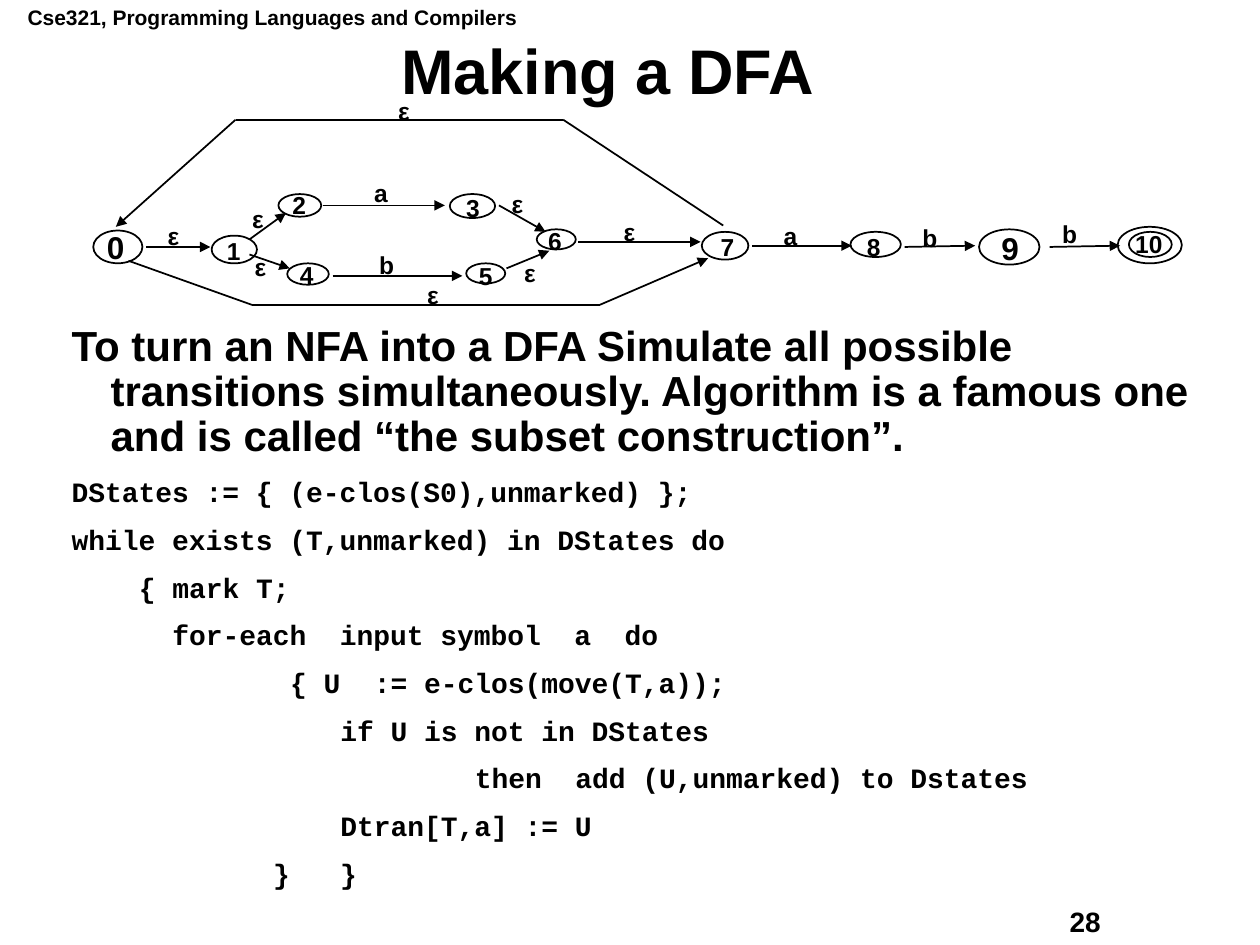
from lxml import etree
from pptx import Presentation
from pptx.dml.color import RGBColor
from pptx.enum.shapes import MSO_CONNECTOR, MSO_SHAPE
from pptx.enum.text import MSO_ANCHOR, MSO_AUTO_SIZE, PP_ALIGN
from pptx.oxml.ns import qn
from pptx.util import Inches, Pt

STRAIGHT = MSO_CONNECTOR.STRAIGHT
OVAL = MSO_SHAPE.OVAL
TOP, MIDDLE = MSO_ANCHOR.TOP, MSO_ANCHOR.MIDDLE
NO_AUTOFIT = MSO_AUTO_SIZE.NONE
LEFT, CENTER = PP_ALIGN.LEFT, PP_ALIGN.CENTER

COLORS = {"ink": "000000", "paper": "FFFFFF"}
SANS, MONO = "Arial", "Courier New"
LINE_WIDTH = 0.99
CODE_SIZE = 16
CODE_CHARACTER = CODE_SIZE * 0.6 / 72

STATE_OVALS = [
    (0.74, 1.83, 0.39, 0.26),
    (1.68, 1.87, 0.36, 0.22),
    (2.21, 1.54, 0.34, 0.18),
    (3.57, 1.54, 0.36, 0.19),
    (2.28, 2.09, 0.33, 0.17),
    (3.70, 2.09, 0.31, 0.16),
    (4.26, 1.82, 0.31, 0.16),
    (5.57, 1.84, 0.37, 0.22),
    (6.75, 1.84, 0.40, 0.20),
    (7.77, 1.82, 0.48, 0.28),
    (8.87, 1.80, 0.51, 0.29),
    (8.96, 1.84, 0.34, 0.20),
]

TRANSITIONS = [
    [(1.16, 1.96), (1.67, 1.96)],
    [(1.98, 1.90), (2.27, 1.69)],
    [(1.98, 2.02), (2.30, 2.13)],
    [(2.56, 1.63), (3.53, 1.63)],
    [(2.64, 2.19), (3.67, 2.19)],
    [(3.96, 1.63), (4.33, 1.84)],
    [(4.02, 2.13), (4.36, 1.99)],
    [(4.59, 1.92), (5.56, 1.92)],
    [(5.97, 1.95), (6.76, 1.95)],
    [(7.18, 1.96), (7.74, 1.95)],
    [(8.33, 1.96), (8.89, 1.95)],
    [(5.74, 1.79), (4.47, 0.95), (1.87, 0.95), (0.92, 1.80)],
    [(1.02, 2.07), (2.00, 2.42), (4.76, 2.42), (5.62, 2.05)],
]

SMALL_LABELS = [
    ("1", 1.72, 1.83), ("2", 2.24, 1.47), ("3", 3.62, 1.49),
    ("4", 2.30, 2.02), ("5", 3.72, 2.03), ("6", 4.27, 1.75),
    ("7", 5.64, 1.80), ("8", 6.80, 1.80), ("10", 8.93, 1.78),
    ("ε", 1.25, 1.71), ("ε", 1.92, 1.58), ("ε", 1.94, 1.96),
    ("ε", 3.98, 1.46), ("ε", 4.08, 2.01), ("ε", 4.87, 1.68),
    ("ε", 3.08, 0.72), ("ε", 3.31, 2.18), ("a", 2.89, 1.37),
    ("b", 2.93, 1.94), ("a", 6.14, 1.71), ("b", 7.24, 1.73),
    ("b", 8.35, 1.70),
]
LARGE_LABELS = [("0", 0.75, 1.76), ("9", 7.85, 1.77)]
LABEL_WIDTHS = {"ε": 0.25, "b": 0.28, "10": 0.38}

INTRODUCTION = (
    "To turn an NFA into a DFA Simulate all possible transitions "
    "simultaneously. Algorithm is a famous one and is called "
    "“the subset construction”."
)
CODE_LINES = [
    (0, "DStates := { (e-clos(S0),unmarked) };"),
    (0, "while exists (T,unmarked) in DStates do"),
    (4, "{ mark T;"),
    (6, "for-each  input symbol  a  do"),
    (13, "{ U  := e-clos(move(T,a));"),
    (16, "if U is not in DStates"),
    (24, "then  add (U,unmarked) to Dstates"),
    (16, "Dtran[T,a] := U"),
    (12, "}   }"),
]


def color(name):
    return RGBColor.from_string(COLORS[name])


def place(shape, left, top, width, height):
    shape.left, shape.top = Inches(left), Inches(top)
    shape.width, shape.height = Inches(width), Inches(height)


def format_frame(frame, wrap, anchor=TOP, inset=0.1):
    frame.word_wrap = wrap
    frame.auto_size = NO_AUTOFIT
    frame.vertical_anchor = anchor
    frame.margin_left = frame.margin_right = Inches(inset)
    frame.margin_top = frame.margin_bottom = Inches(inset / 2)


def format_paragraph(paragraph, text, size, font=SANS, alignment=LEFT):
    paragraph.text = text
    paragraph.alignment = alignment
    paragraph.font.name = font
    paragraph.font.size = Pt(size)
    paragraph.font.bold = True
    paragraph.font.color.rgb = color("ink")


def add_label(shapes, text, box, size, inset=0.1):
    label = shapes.add_textbox(*map(Inches, box))
    format_frame(label.text_frame, False, inset=inset)
    format_paragraph(label.text_frame.paragraphs[0], text, size)


def add_state(shapes, box):
    oval = shapes.add_shape(OVAL, *map(Inches, box))
    oval.shadow.inherit = False
    oval.fill.solid()
    oval.fill.fore_color.rgb = color("paper")
    oval.line.color.rgb = color("ink")
    oval.line.width = Pt(LINE_WIDTH)


def add_line(shapes, start, end, arrow):
    line = shapes.add_connector(STRAIGHT, *map(Inches, start + end))
    line.line.color.rgb = color("ink")
    line.line.width = Pt(LINE_WIDTH)
    if arrow:
        etree.SubElement(line.line._get_or_add_ln(), qn("a:tailEnd"), type="triangle")
    etree.SubElement(line._element.spPr, qn("a:effectLst"))


def add_transition(shapes, points):
    for start, end in zip(points, points[1:]):
        add_line(shapes, start, end, end == points[-1])


def add_automaton(slide):
    shapes = slide.shapes.add_group_shape().shapes
    for box in STATE_OVALS:
        add_state(shapes, box)
    for points in TRANSITIONS:
        add_transition(shapes, points)
    for text, left, top in SMALL_LABELS:
        width = LABEL_WIDTHS.get(text, 0.27)
        add_label(shapes, text, (left, top, width, 0.31), 14, 0.08)
    for text, left, top in LARGE_LABELS:
        add_label(shapes, text, (left, top, 0.34, 0.4), 18)


def format_title(title):
    place(title, 0.31, 0.31, 9.03, 0.56)
    format_frame(title.text_frame, True, MIDDLE)
    paragraph = title.text_frame.paragraphs[0]
    format_paragraph(paragraph, "Making a DFA", 36, alignment=CENTER)
    paragraph.line_spacing = 0.9


def set_spacing(paragraph, before, left, first_line):
    paragraph.line_spacing = 0.9
    paragraph.space_before = Pt(before)
    properties = paragraph._p.get_or_add_pPr()
    properties.set("marL", str(Inches(left)))
    properties.set("indent", str(Inches(first_line)))


def add_algorithm(slide):
    body = slide.shapes.add_textbox(*map(Inches, (0.47, 2.53, 9.31, 4.83)))
    frame = body.text_frame
    format_frame(frame, True)
    introduction = frame.paragraphs[0]
    format_paragraph(introduction, INTRODUCTION, 24)
    set_spacing(introduction, 15, 0.31, -0.31)
    for depth, text in CODE_LINES:
        paragraph = frame.add_paragraph()
        format_paragraph(paragraph, text, CODE_SIZE, MONO)
        set_spacing(paragraph, 10, depth * CODE_CHARACTER, 0)


def main():
    presentation = Presentation()
    presentation.slide_width, presentation.slide_height = Inches(10), Inches(7.5)
    slide = presentation.slides.add_slide(presentation.slide_layouts[5])
    format_title(slide.shapes.title)
    course = "Cse321, Programming Languages and Compilers"
    add_label(slide.shapes, course, (0.12, -0.01, 4.09, 0.3), 12)
    add_label(slide.shapes, "28", (8.39, 7.13, 1.27, 0.36), 16)
    add_algorithm(slide)
    add_automaton(slide)
    presentation.save("out.pptx")


main()
